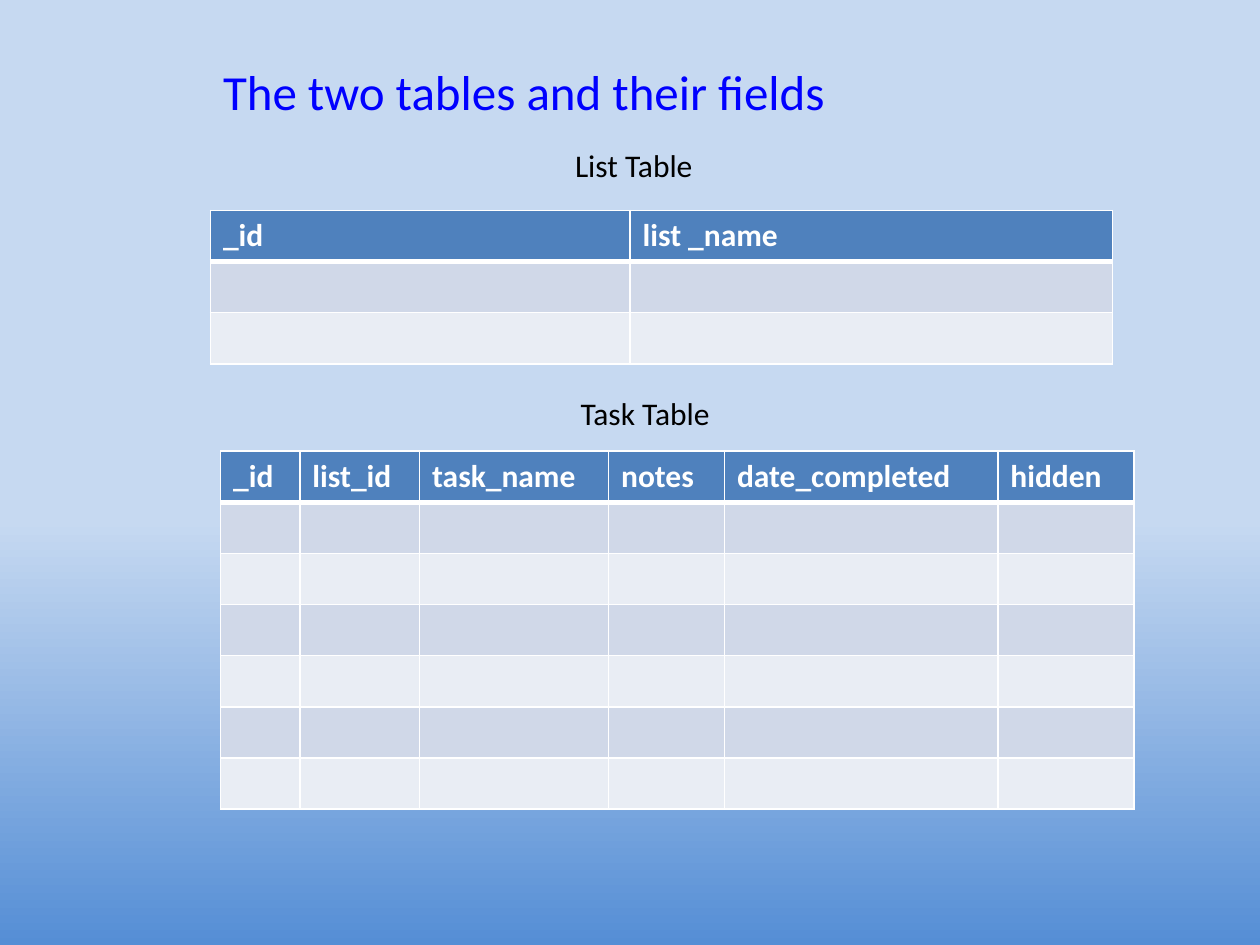
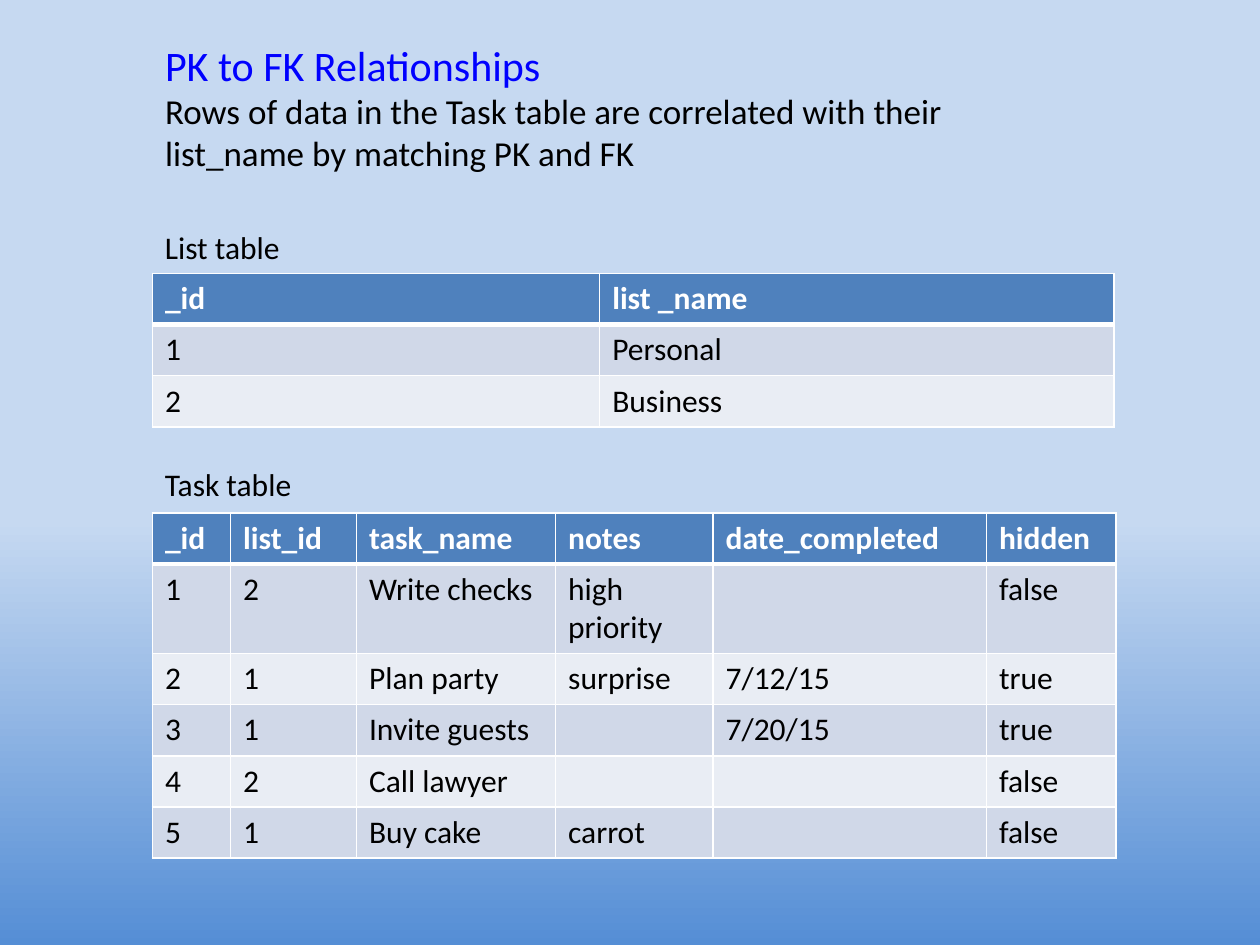
from pptx import Presentation
from pptx.dml.color import RGBColor
from pptx.enum.text import MSO_ANCHOR, MSO_AUTO_SIZE, PP_ALIGN
from pptx.oxml import parse_xml
from pptx.oxml.ns import nsdecls
from pptx.util import Inches, Pt

FONT = "Calibri"
BLACK = RGBColor(0x00, 0x00, 0x00)
WHITE = RGBColor(0xFF, 0xFF, 0xFF)
TITLE_BLUE = RGBColor(0x00, 0x00, 0xFF)
HEADER_BLUE = RGBColor(0x4F, 0x81, 0xBD)
BANDS = (RGBColor(0xD0, 0xD8, 0xE8), RGBColor(0xE9, 0xED, 0xF4))
SKY = RGBColor(0xC6, 0xD9, 0xF1)
DEEP_SKY = RGBColor(0x55, 0x8E, 0xD5)
ROW_HEIGHT = 0.406

LIST_FIELDS = ["_id", "list _name"]
TASK_FIELDS = ["_id", "list_id", "task_name", "notes", "date_completed", "hidden"]
LISTS = [["1", "Personal"], ["2", "Business"]]
TASKS = [
    ["1", "2", "Write checks", "high priority", "", "false"],
    ["2", "1", "Plan party", "surprise", "7/12/15", "true"],
    ["3", "1", "Invite guests", "", "7/20/15", "true"],
    ["4", "2", "Call lawyer", "", "", "false"],
    ["5", "1", "Buy cake", "carrot", "", "false"],
]


def set_background(master):
    """Give every slide the same top-to-bottom gradient."""
    fill = master.background.fill
    fill.gradient()
    fill.gradient_angle = 270
    for stop, position, color in zip(fill.gradient_stops, (0.55, 1), (SKY, DEEP_SKY)):
        stop.position = position
        stop.color.rgb = color


def add_text(tf, text, size=18, color=BLACK, bold=False, align=PP_ALIGN.LEFT):
    """Write one formatted paragraph, reusing an empty last one."""
    p = tf.paragraphs[-1]
    if p.runs:
        p = tf.add_paragraph()
    p.alignment = align
    r = p.add_run()
    r.text = text
    r.font.name = FONT
    r.font.size = Pt(size)
    r.font.bold = bold
    r.font.color.rgb = color


def add_slide(prs, left, top, height, title, size):
    """Add a slide with a placed title and return it with its title frame."""
    s = prs.slides.add_slide(prs.slide_layouts[5])
    sp = s.shapes.title
    sp.left, sp.top = Inches(left), Inches(top)
    sp.width, sp.height = Inches(7), Inches(height)
    tf = sp.text_frame
    tf.auto_size = MSO_AUTO_SIZE.NONE
    tf.vertical_anchor = MSO_ANCHOR.TOP
    add_text(tf, title, size=size, color=TITLE_BLUE)
    return s, tf


def add_label(s, left, top, text, align=PP_ALIGN.LEFT):
    """Add a table caption."""
    sp = s.shapes.add_textbox(Inches(left), Inches(top), Inches(3.92), Inches(0.4))
    sp.text_frame.word_wrap = True
    add_text(sp.text_frame, text, align=align)


def set_borders(cell, top, bottom):
    """Draw white cell borders with the given top and bottom widths."""
    tcPr = cell._tc.get_or_add_tcPr()
    for side, width in (("L", 1), ("R", 1), ("T", top), ("B", bottom)):
        tcPr.append(parse_xml(
            f'<a:ln{side} {nsdecls("a")} w="{Pt(width)}"><a:solidFill>'
            f'<a:srgbClr val="{WHITE}"/></a:solidFill></a:ln{side}>'))


def add_field_table(s, left, top, widths, fields, records):
    """Add a banded table with field names over its records."""
    rows = [fields] + records
    frame = s.shapes.add_table(len(rows), len(fields), Inches(left), Inches(top),
                               Inches(sum(widths)), Inches(ROW_HEIGHT * len(rows)))
    table = frame.table
    for column, width in zip(table.columns, widths):
        column.width = Inches(width)
    for i, row in enumerate(rows):
        header = i == 0
        for j, text in enumerate(row):
            cell = table.cell(i, j)
            set_borders(cell, top=3 if i == 1 else 1, bottom=3 if header else 1)
            cell.fill.solid()
            cell.fill.fore_color.rgb = HEADER_BLUE if header else BANDS[(i - 1) % 2]
            if text:
                add_text(cell.text_frame, text, bold=header,
                         color=WHITE if header else BLACK)


def empty_records(fields, count):
    """Return blank records for a table outline."""
    return [[""] * len(fields) for _ in range(count)]


def add_fields_slide(prs):
    """Show the fields of both tables."""
    s, _ = add_slide(prs, 1.67, 0.44, 0.57, "The two tables and their fields", 28)
    add_field_table(s, 1.67, 1.67, [3.33, 3.83], LIST_FIELDS,
                    empty_records(LIST_FIELDS, 2))
    add_field_table(s, 1.75, 3.58, [0.63, 0.95, 1.5, 0.92, 2.17, 1.08], TASK_FIELDS,
                    empty_records(TASK_FIELDS, 6))
    add_label(s, 3.07, 1.11, "List Table", align=PP_ALIGN.CENTER)
    add_label(s, 3.16, 3.08, "Task Table", align=PP_ALIGN.CENTER)


def add_relationships_slide(prs):
    """Show how task rows refer to list rows."""
    left = 1.21
    s, tf = add_slide(prs, left, 0.26, 1.18, "PK to FK Relationships", 24)
    add_text(tf, "Rows of data in the Task table are correlated with their "
                 "list_name by matching PK and FK", size=20)
    add_field_table(s, left, 2.17, [3.55, 4.08], LIST_FIELDS, LISTS)
    add_field_table(s, left, 4.07, [0.62, 1, 1.58, 1.25, 2.17, 1.03],
                    TASK_FIELDS, TASKS)
    add_label(s, left, 1.76, "List table")
    add_label(s, left, 3.64, "Task table")


def main():
    """Build and save the presentation."""
    prs = Presentation()
    prs.slide_width, prs.slide_height = Inches(10), Inches(7.5)
    set_background(prs.slide_master)
    add_fields_slide(prs)
    add_relationships_slide(prs)
    prs.save("out.pptx")


if __name__ == "__main__":
    main()
